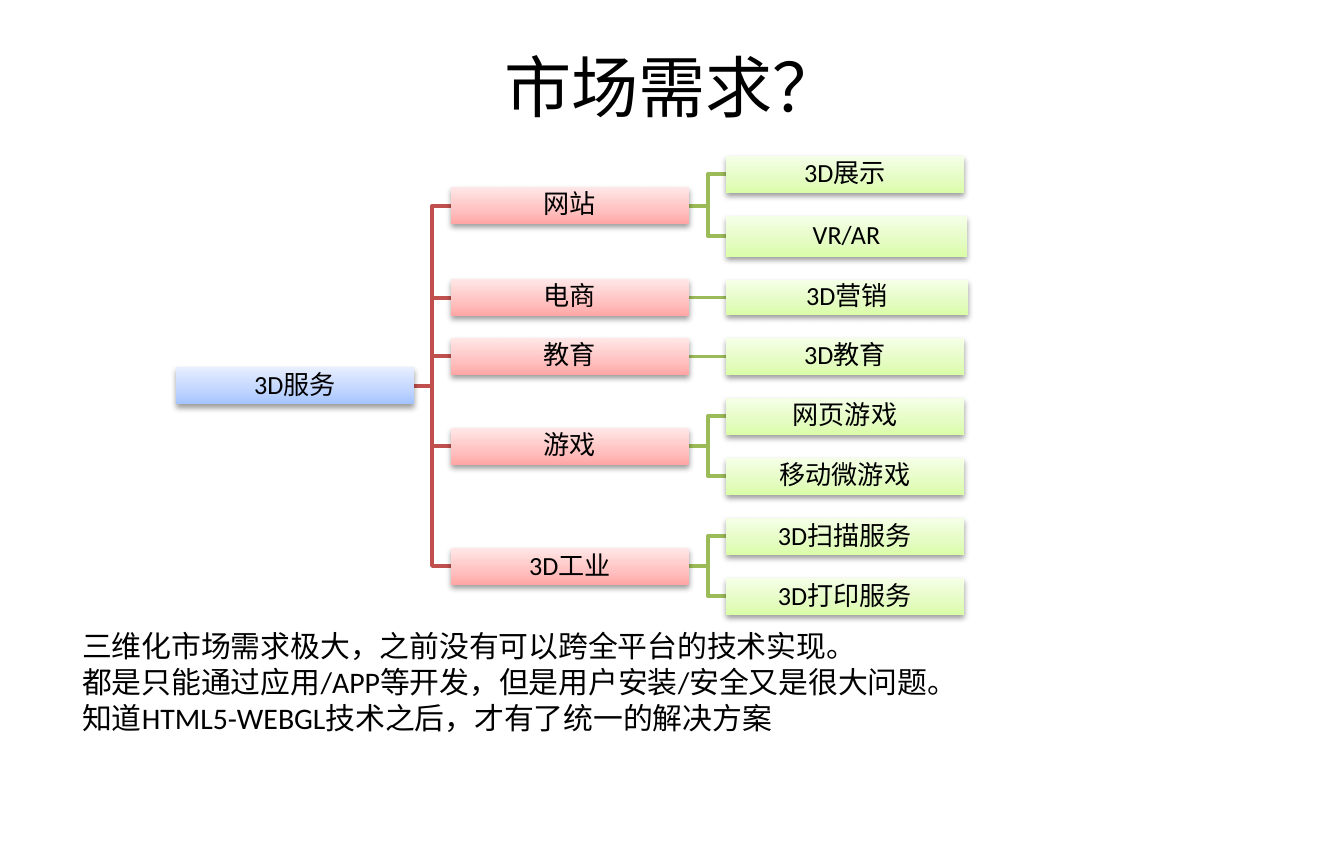
"""Build the market-demand slide: a service tree with a closing statement."""
import lxml.etree
import pptx
import pptx.dml.color
import pptx.enum.shapes
import pptx.enum.text
import pptx.oxml
import pptx.oxml.ns
import pptx.util

RGB = pptx.dml.color.RGBColor
BLACK = RGB(0x00, 0x00, 0x00)
RED = RGB(0xC0, 0x50, 0x4D)
GREEN = RGB(0x9B, 0xBB, 0x59)
BLUE_SHADES = [RGB(0xA4, 0xC4, 0xFF), RGB(0xBF, 0xD4, 0xFF), RGB(0xE6, 0xEE, 0xFF)]
RED_SHADES = [RGB(0xFF, 0xA6, 0xA5), RGB(0xFF, 0xC0, 0xBF), RGB(0xFF, 0xE7, 0xE7)]
GREEN_SHADES = [RGB(0xDA, 0xFD, 0xA7), RGB(0xE4, 0xFC, 0xC2), RGB(0xF5, 0xFF, 0xE7)]
SHADE_STOPS = [0, 35, 100]
FONT = "Calibri"

TITLE = "市场需求？"
ROOT = "3D服务"
BRANCHES = [
    ("网站", ["3D展示", "VR/AR"]),
    ("电商", ["3D营销"]),
    ("教育", ["3D教育"]),
    ("游戏", ["网页游戏", "移动微游戏"]),
    ("3D工业", ["3D扫描服务", "3D打印服务"]),
]
STATEMENT = [
    "三维化市场需求极大，之前没有可以跨全平台的技术实现。",
    "都是只能通过应用/APP等开发，但是用户安装/安全又是很大问题。",
    "知道HTML5-WEBGL技术之后，才有了统一的解决方案",
]

BOX_W, BOX_H = 238, 37
LEAF_SIZES = {"VR/AR": (241, 41), "3D营销": (242, 35)}
ROOT_X, TREE_TOP = 176, 156
COLUMN_GAP, LEAF_GAP = 37, 23
BRANCH_X = ROOT_X + BOX_W + COLUMN_GAP
LEAF_X = BRANCH_X + BOX_W + COLUMN_GAP

SCALE = 914400 / 134.4


def px(length):
    return pptx.util.Emu(round(length * SCALE))


def style_text(paragraph, size):
    paragraph.font.name = FONT
    paragraph.font.size = pptx.util.Pt(size)
    paragraph.font.color.rgb = BLACK


def add_link(shapes, x, start_y, end_y, colour):
    end_x = x + COLUMN_GAP
    if start_y == end_y:
        link = shapes.add_connector(
            pptx.enum.shapes.MSO_CONNECTOR.STRAIGHT,
            px(x), px(start_y), px(end_x), px(end_y))
        lxml.etree.SubElement(
            link._element.spPr, pptx.oxml.ns.qn("a:effectLst"))
    else:
        middle = x + COLUMN_GAP / 2
        builder = shapes.build_freeform(x, start_y, scale=SCALE)
        builder.add_line_segments(
            [(middle, start_y), (middle, end_y), (end_x, end_y)], close=False)
        link = builder.convert_to_shape()
        link.fill.background()
        link.shadow.inherit = False
    link.line.color.rgb = colour
    link.line.width = pptx.util.Pt(2)


def add_box(shapes, label, x, centre_y, size, shades):
    width, height = size
    box = shapes.add_shape(
        pptx.enum.shapes.MSO_SHAPE.RECTANGLE,
        px(x), px(centre_y - height / 2), px(width), px(height))
    box.line.fill.background()
    box.fill.gradient()
    box.fill.gradient_angle = 90
    spPr = box._element.spPr
    stops = spPr.find(".//" + pptx.oxml.ns.qn("a:gsLst"))
    stops.clear()
    for position, shade in zip(SHADE_STOPS, shades):
        stops.append(pptx.oxml.parse_xml(
            f'<a:gs {pptx.oxml.ns.nsdecls("a")} pos="{position * 1000}">'
            f'<a:srgbClr val="{shade}"/></a:gs>'))
    box.shadow.inherit = False
    spPr.find(pptx.oxml.ns.qn("a:effectLst")).append(pptx.oxml.parse_xml(
        f'<a:outerShdw {pptx.oxml.ns.nsdecls("a")} blurRad="40000" dist="20000"'
        ' dir="5400000" rotWithShape="0"><a:srgbClr val="000000">'
        '<a:alpha val="38000"/></a:srgbClr></a:outerShdw>'))

    frame = box.text_frame
    frame.word_wrap = True
    frame.vertical_anchor = pptx.enum.text.MSO_ANCHOR.MIDDLE
    frame.margin_left = frame.margin_right = px(1)
    frame.margin_top = frame.margin_bottom = px(1)
    frame.text = label
    paragraph = frame.paragraphs[0]
    paragraph.alignment = pptx.enum.text.PP_ALIGN.CENTER
    paragraph.line_spacing = 0.9
    style_text(paragraph, 14)


def add_tree(shapes):
    branches, leaves = [], []
    top = TREE_TOP
    for branch, children in BRANCHES:
        centres = []
        for leaf in children:
            size = LEAF_SIZES.get(leaf, (BOX_W, BOX_H))
            centres.append(top + size[1] / 2)
            leaves.append((leaf, centres[-1], size))
            top += size[1] + LEAF_GAP
        branches.append((branch, (centres[0] + centres[-1]) / 2, centres))
    root_y = (branches[0][1] + branches[-1][1]) / 2

    for _, branch_y, centres in branches:
        add_link(shapes, ROOT_X + BOX_W, root_y, branch_y, RED)
        for leaf_y in centres:
            add_link(shapes, BRANCH_X + BOX_W, branch_y, leaf_y, GREEN)

    add_box(shapes, ROOT, ROOT_X, root_y, (BOX_W, BOX_H), BLUE_SHADES)
    for branch, branch_y, _ in branches:
        add_box(shapes, branch, BRANCH_X, branch_y, (BOX_W, BOX_H), RED_SHADES)
    for leaf, leaf_y, size in leaves:
        add_box(shapes, leaf, LEAF_X, leaf_y, size, GREEN_SHADES)


def main():
    deck = pptx.Presentation()
    deck.slide_width, deck.slide_height = px(1344), px(862)
    slide = deck.slides.add_slide(deck.slide_layouts[5])

    title = slide.shapes.title
    title.left, title.top, title.width, title.height = map(px, (67, 35, 1210, 101))
    title.text_frame.text = TITLE
    title.text_frame.vertical_anchor = pptx.enum.text.MSO_ANCHOR.MIDDLE
    title.text_frame.paragraphs[0].alignment = pptx.enum.text.PP_ALIGN.CENTER
    style_text(title.text_frame.paragraphs[0], 36)

    add_tree(slide.shapes)

    statement = slide.shapes.add_textbox(*map(px, (69, 621, 1227, 122))).text_frame
    statement.word_wrap = True
    statement.text = "\n".join(STATEMENT)
    for paragraph in statement.paragraphs:
        style_text(paragraph, 16)

    deck.save("out.pptx")


if __name__ == "__main__":
    main()
